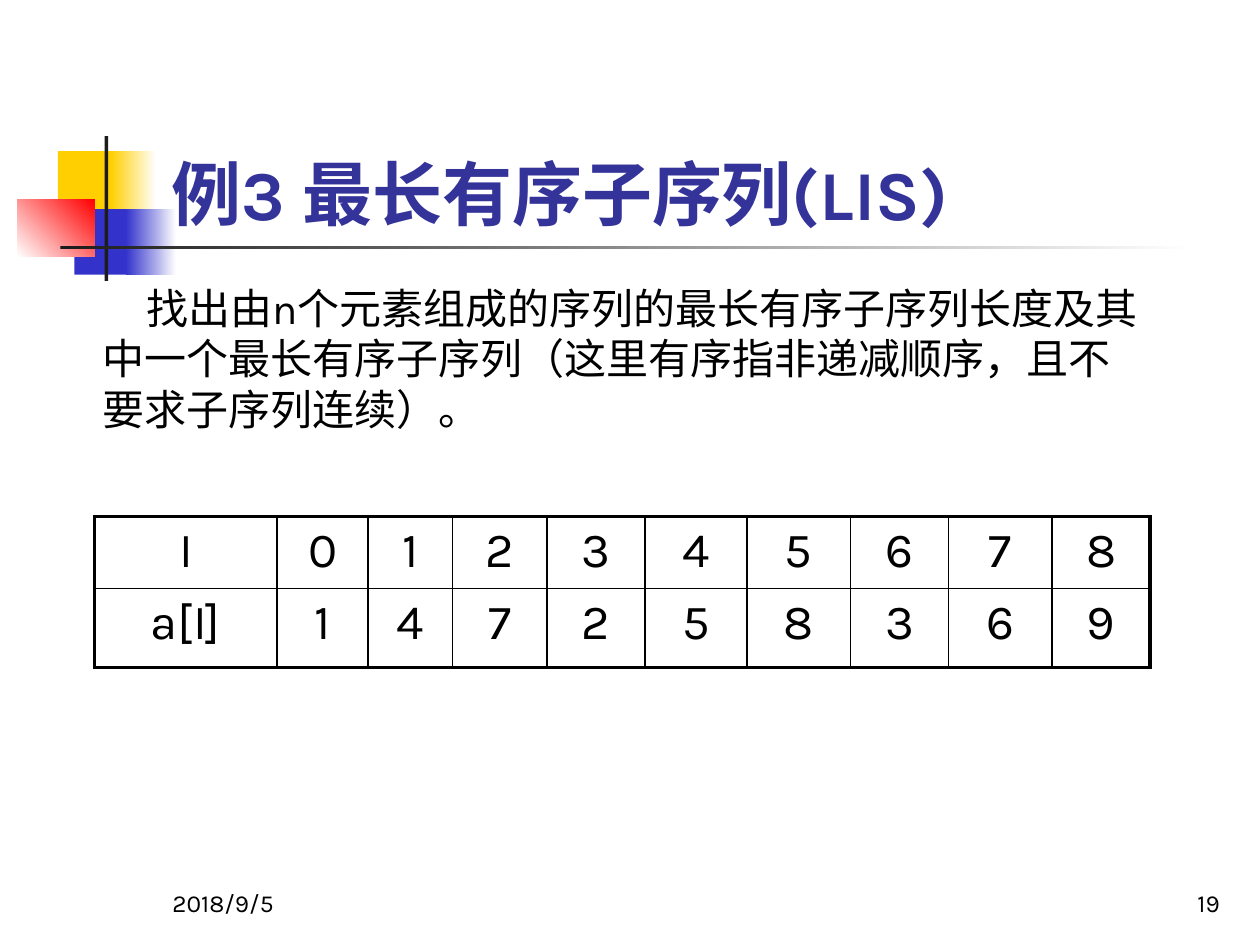
"""Build the slide that introduces the longest ordered subsequence problem."""
from typing import NamedTuple, Optional

from lxml import etree
from pptx import Presentation
from pptx.dml.color import RGBColor
from pptx.enum.shapes import MSO_SHAPE
from pptx.enum.text import MSO_ANCHOR, MSO_AUTO_SIZE, PP_ALIGN
from pptx.oxml.ns import qn
from pptx.util import Inches, Pt

RECTANGLE = MSO_SHAPE.RECTANGLE
TOP, BOTTOM = MSO_ANCHOR.TOP, MSO_ANCHOR.BOTTOM
LEFT, CENTER, RIGHT = PP_ALIGN.LEFT, PP_ALIGN.CENTER, PP_ALIGN.RIGHT
NO_AUTOFIT = MSO_AUTO_SIZE.NONE

FONT = "Karla"
BLACK = RGBColor(0x00, 0x00, 0x00)
WHITE = RGBColor(0xFF, 0xFF, 0xFF)
YELLOW = RGBColor(0xFF, 0xCF, 0x01)
BLUE = RGBColor(0x33, 0x33, 0xCC)
RED = RGBColor(0xFF, 0x00, 0x00)
CHARCOAL = RGBColor(0x1C, 0x1C, 0x1C)
NAVY = RGBColor(0x33, 0x33, 0x99)

THIN, THICK = Pt(1), Pt(2.25)


class Block(NamedTuple):
    """A rectangle of the title ornament, faded when it has an end colour."""
    left: float
    top: float
    width: float
    height: float
    color: RGBColor
    end_color: Optional[RGBColor] = None
    angle: float = 0


class Footer(NamedTuple):
    """A short text at the foot of the slide."""
    left: float
    text: str
    align: PP_ALIGN


ORNAMENT = [
    Block(0.46, 1.2, 0.48, 0.52, YELLOW),
    Block(0.88, 1.2, 0.36, 0.52, YELLOW, WHITE),
    Block(0.59, 1.66, 0.46, 0.52, BLUE),
    Block(1, 1.66, 0.4, 0.52, BLUE, WHITE),
    Block(0.14, 1.58, 0.61, 0.46, WHITE, RED, 45),
    Block(0.83, 1.08, 0.03, 1.15, CHARCOAL),
    Block(0.48, 1.95, 9, 0.03, CHARCOAL, WHITE),
]
FOOTERS = [Footer(1.27, "2018/9/5", LEFT), Footer(7.7, "19", RIGHT)]
TITLE = "例3 最长有序子序列(LIS)"
PROBLEM = ("找出由n个元素组成的序列的最长有序子序列长度及其中一个最长有序子序列"
           "（这里有序指非递减顺序，且不要求子序列连续）。")
SEQUENCE = [["I", *range(9)], ["a[I]", 1, 4, 7, 2, 5, 8, 3, 6, 9]]
COLUMN_WIDTHS = [1.45, 0.72, 0.67, 0.75, 0.78, 0.81, 0.82, 0.78, 0.82, 0.78]
ROW_HEIGHTS = [0.57, 0.63]


def draw_block(slide, block: Block) -> None:
    """Draw one rectangle of the ornament."""
    shape = slide.shapes.add_shape(RECTANGLE, *(Inches(n) for n in block[:4]))
    shape.shadow.inherit = False
    shape.line.fill.background()
    if block.end_color is None:
        shape.fill.solid()
        shape.fill.fore_color.rgb = block.color
        return
    shape.fill.gradient()
    shape.fill.gradient_angle = block.angle
    for stop, color in zip(shape.fill.gradient_stops, (block.color, block.end_color)):
        stop.color.rgb = color


def write(frame, text: str, size: float, align: PP_ALIGN,
          color: RGBColor = BLACK, bold: bool = False):
    """Set the only paragraph of a text frame and return it."""
    para = frame.paragraphs[0]
    para.text = text
    para.alignment = align
    font = para.font
    font.name, font.size, font.bold = FONT, Pt(size), bold
    font.color.rgb = color
    return para


def place(shape, left: float, top: float, width: float, height: float,
          anchor: MSO_ANCHOR):
    """Place a text shape and return its wrapped text frame."""
    shape.left, shape.top = Inches(left), Inches(top)
    shape.width, shape.height = Inches(width), Inches(height)
    frame = shape.text_frame
    frame.word_wrap = True
    frame.auto_size = NO_AUTOFIT
    frame.vertical_anchor = anchor
    return frame


def bring_forward(shape) -> None:
    """Move a shape in front of everything drawn so far."""
    shape.element.getparent().append(shape.element)


def set_border(cell, side: str, width: int) -> None:
    """Give one side of a cell a solid black line."""
    properties = cell._tc.get_or_add_tcPr()
    line = etree.SubElement(properties, qn(f"a:ln{side}"), w=str(width))
    fill = etree.SubElement(line, qn("a:solidFill"))
    etree.SubElement(fill, qn("a:srgbClr"), val=str(BLACK))


def draw_table(slide) -> None:
    """Draw the sequence with a thick frame and thin inner lines."""
    rows, columns = len(ROW_HEIGHTS), len(COLUMN_WIDTHS)
    table = slide.shapes.add_table(
        rows, columns, Inches(0.75), Inches(4.1),
        Inches(sum(COLUMN_WIDTHS)), Inches(sum(ROW_HEIGHTS))).table
    table.first_row = table.horz_banding = False
    for column, width in zip(table.columns, COLUMN_WIDTHS):
        column.width = Inches(width)
    for row, height in zip(table.rows, ROW_HEIGHTS):
        row.height = Inches(height)
    for r, values in enumerate(SEQUENCE):
        for c, value in enumerate(values):
            cell = table.cell(r, c)
            outer = {"L": c == 0, "R": c == columns - 1,
                     "T": r == 0, "B": r == rows - 1}
            for side, is_outer in outer.items():
                set_border(cell, side, THICK if is_outer else THIN)
            cell.fill.background()
            write(cell.text_frame, str(value), 28, CENTER)


def main() -> None:
    """Build the slide and save the deck."""
    deck = Presentation()
    deck.slide_width, deck.slide_height = Inches(10), Inches(7.5)
    slide = deck.slides.add_slide(deck.slide_layouts[1])
    title, body = slide.placeholders

    for block in ORNAMENT:
        draw_block(slide, block)
    for footer in FOOTERS:
        box = slide.shapes.add_textbox(0, 0, 0, 0)
        frame = place(box, footer.left, 6.83, 2.08, 0.5, BOTTOM)
        write(frame, footer.text, 14, footer.align)

    bring_forward(title)
    write(place(title, 1.26, 0.91, 8.52, 1, BOTTOM), TITLE, 40, LEFT, NAVY, True)
    draw_table(slide)

    bring_forward(body)
    frame = place(body, 0.71, 2.14, 8.51, 1.81, TOP)
    frame.margin_top = Inches(0.1)
    para = write(frame, PROBLEM, 24, LEFT)
    properties = para._p.get_or_add_pPr()
    properties.set("marL", "0")
    properties.set("indent", str(Inches(0.35)))
    properties.insert_element_before(
        etree.SubElement(properties, qn("a:buNone")), "a:tabLst", "a:defRPr", "a:extLst")

    deck.save("out.pptx")


main()
